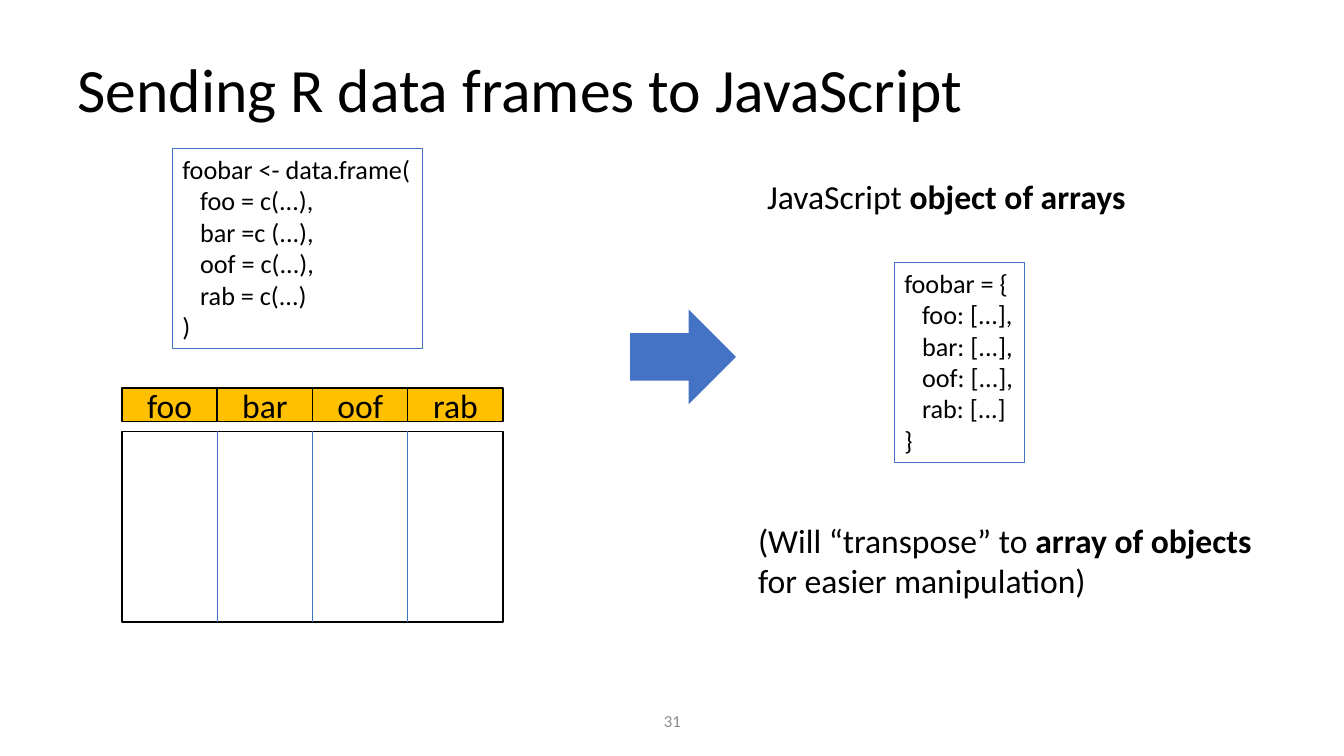
"""Build a slide on sending R data frames to JavaScript."""
from pptx import Presentation
from pptx.dml.color import RGBColor
from pptx.enum.shapes import MSO_CONNECTOR, MSO_SHAPE
from pptx.enum.text import MSO_ANCHOR, MSO_AUTO_SIZE, PP_ALIGN
from pptx.oxml.ns import qn
from pptx.util import Inches, Pt

COLORS = {"black": "000000", "gray": "8C8C8C", "blue": "4472C4", "gold": "FFC000"}
FIELDS = ["foo", "bar", "oof", "rab"]
TABLE_LEFT, HEADER_TOP, BODY_TOP = 1.21, 3.85, 4.28
COLUMN_WIDTH, HEADER_HEIGHT, BODY_HEIGHT = 0.945, 0.33, 1.89

deck = Presentation()
deck.slide_width, deck.slide_height = Inches(13.33), Inches(7.5)
slide = deck.slides.add_slide(deck.slide_layouts[6])


def add_box(place, kind=MSO_SHAPE.RECTANGLE, fill=None, line=None, line_width=1):
    """Add a preset shape with the given fill and outline."""
    box = slide.shapes.add_shape(kind, *map(Inches, place))
    box.shadow.inherit = False
    if fill:
        box.fill.solid()
        box.fill.fore_color.rgb = RGBColor.from_string(COLORS[fill])
    else:
        box.fill.background()
    if line:
        box.line.color.rgb = RGBColor.from_string(COLORS[line])
        box.line.width = Pt(line_width)
    else:
        box.line.fill.background()
    return box


def write(paragraphs, place=None, box=None, size=24, color="black", align=PP_ALIGN.LEFT,
          anchor=MSO_ANCHOR.TOP, wrap=True, grow=False, inset=None, spacing=None):
    """Write paragraphs of alternating regular and bold runs."""
    holder = box or slide.shapes.add_textbox(*map(Inches, place))
    frame = holder.text_frame
    frame.word_wrap = wrap
    frame.vertical_anchor = anchor
    frame.auto_size = MSO_AUTO_SIZE.SHAPE_TO_FIT_TEXT if grow else MSO_AUTO_SIZE.NONE
    if inset is not None:
        frame.margin_left = frame.margin_right = Inches(inset)
        frame.margin_top = frame.margin_bottom = Inches(inset)
    for index, runs in enumerate(paragraphs):
        paragraph = frame.add_paragraph() if index else frame.paragraphs[0]
        paragraph.alignment = align
        if spacing:
            paragraph.line_spacing = spacing
        for position, text in enumerate(runs):
            run = paragraph.add_run()
            run.text = text
            run.font.name = "Calibri"
            run.font.size = Pt(size)
            run.font.bold = position % 2 == 1
            run.font.color.rgb = RGBColor.from_string(COLORS[color])


write([["Sending R data frames to JavaScript"]], (0.67, 0.5, 12, 0.84),
      size=44, anchor=MSO_ANCHOR.MIDDLE, spacing=0.9)
write([["31"]], (4.42, 6.95, 4.5, 0.4), size=12, color="gray",
      align=PP_ALIGN.CENTER, anchor=MSO_ANCHOR.MIDDLE)

table_body = add_box((TABLE_LEFT, BODY_TOP, len(FIELDS) * COLUMN_WIDTH, BODY_HEIGHT), line="black")
for column, field in enumerate(FIELDS):
    column_left = TABLE_LEFT + column * COLUMN_WIDTH
    header = add_box((column_left, HEADER_TOP, COLUMN_WIDTH, HEADER_HEIGHT),
                     fill="gold", line="black")
    write([[field]], box=header, align=PP_ALIGN.CENTER, anchor=MSO_ANCHOR.MIDDLE, inset=0)
    if column:
        divider = slide.shapes.add_connector(
            MSO_CONNECTOR.STRAIGHT, Inches(column_left), Inches(BODY_TOP),
            Inches(column_left), Inches(BODY_TOP + BODY_HEIGHT))
        divider.line.color.rgb = RGBColor.from_string(COLORS["blue"])
        divider.line.width = Pt(0.5)
        properties = divider._element.spPr
        properties.append(properties.makeelement(qn("a:effectLst"), {}))
        if column * 2 == len(FIELDS):
            divider.begin_connect(table_body, 0)
            divider.end_connect(table_body, 2)

r_code = ["foobar <- data.frame(", "   foo = c(...),", "   bar =c (...),",
          "   oof = c(...),", "   rab = c(...)", ")"]
javascript_code = ["foobar = {", "   foo: [...],", "   bar: [...],",
                   "   oof: [...],", "   rab: [...]", "}"]
for code, place in [(r_code, (1.71, 1.47, 2.48, 1.99)),
                    (javascript_code, (8.87, 2.6, 1.29, 1.99))]:
    listing = add_box(place, line="blue", line_width=0.75)
    write([[code_line] for code_line in code], box=listing, size=18.7, wrap=False, grow=True)

add_box((6.25, 3.07, 1.05, 0.94), MSO_SHAPE.RIGHT_ARROW, fill="blue")

write([["JavaScript ", "object of arrays"]], (7.51, 1.7, 3.79, 0.5), wrap=False, grow=True)
write([["(Will “transpose” to ", "array of objects", " for easier manipulation)"]],
      (7.42, 5.11, 5.25, 0.91), grow=True)

deck.save("out.pptx")
